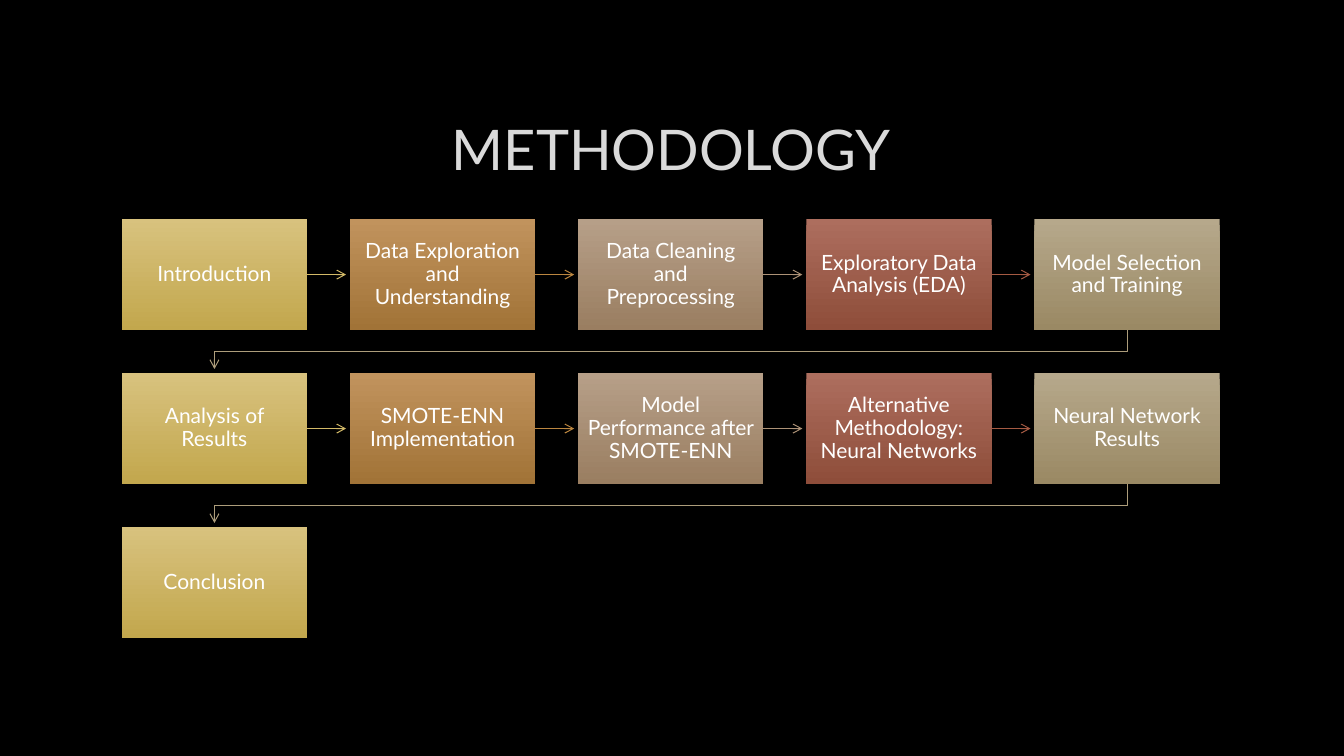
from lxml import etree
from pptx import Presentation
from pptx.dml.color import RGBColor
from pptx.enum.shapes import MSO_CONNECTOR, MSO_SHAPE
from pptx.enum.text import MSO_ANCHOR, MSO_AUTO_SIZE, PP_ALIGN
from pptx.oxml.ns import qn
from pptx.util import Cm, Pt

RECT = MSO_SHAPE.RECTANGLE
STRAIGHT = MSO_CONNECTOR.STRAIGHT
MIDDLE = MSO_ANCHOR.MIDDLE
CENTER = PP_ALIGN.CENTER
NO_FIT = MSO_AUTO_SIZE.NONE

FONT = "Lato"
COLORS = {"background": "000000", "title": "DADADA", "text": "FFFFFF"}
# One entry per column: gradient top, gradient bottom, outgoing arrow
COLUMNS = [
    {"top": "D8C27E", "bottom": "C2A74D", "arrow": "D3BA68"},
    {"top": "C1935D", "bottom": "A17337", "arrow": "BB8640"},
    {"top": "B69F88", "bottom": "9A7E61", "arrow": "AD9277"},
    {"top": "AD6E5E", "bottom": "8E4D3A", "arrow": "A55A43"},
    {"top": "B6A88B", "bottom": "9A8964", "arrow": "AD9D7B"},
]
STEPS = [
    "Introduction",
    "Data Exploration and Understanding",
    "Data Cleaning and Preprocessing",
    "Exploratory Data Analysis (EDA)",
    "Model Selection and Training",
    "Analysis of Results",
    "SMOTE-ENN Implementation",
    "Model Performance after SMOTE-ENN",
    "Alternative Methodology: Neural Networks",
    "Neural Network Results",
    "Conclusion",
]

# Grid of step boxes
LEFT, TOP = Cm(3.07), Cm(5.52)
BOX_W, BOX_H = Cm(4.67), Cm(2.8)
PITCH_X, PITCH_Y = Cm(5.75), Cm(3.88)
ARROW_GAP = Cm(0.1)
INSET = Cm(0.23)


def rgb(value):
    return RGBColor.from_string(value)


def set_attrs(obj, values):
    for name, value in values.items():
        setattr(obj, name, value)


def write_text(sp, text, size, color, spacing):
    tf = sp.text_frame
    set_attrs(tf, {"word_wrap": True, "auto_size": NO_FIT,
                   "vertical_anchor": MIDDLE,
                   "margin_left": INSET, "margin_right": INSET,
                   "margin_top": INSET, "margin_bottom": INSET})
    p = tf.paragraphs[0]
    set_attrs(p, {"alignment": CENTER, "line_spacing": spacing})
    r = p.add_run()
    r.text = text
    set_attrs(r.font, {"name": FONT, "size": Pt(size)})
    r.font.color.rgb = rgb(color)


def add_title(s, text):
    sp = s.shapes.title
    set_attrs(sp, {"left": Cm(2.54), "top": Cm(2.39),
                   "width": Cm(28.75), "height": Cm(2.69)})
    write_text(sp, text, 40, COLORS["title"], 1.0)


def add_step(s, x, y, text, colors):
    sp = s.shapes.add_shape(RECT, x, y, BOX_W, BOX_H)
    sp.shadow.inherit = False
    sp.line.fill.background()
    sp.fill.gradient()
    sp.fill.gradient_angle = 270
    for stop, part in zip(sp.fill.gradient_stops, ("top", "bottom")):
        stop.color.rgb = rgb(colors[part])
    # Full range for the two stops
    set_attrs(sp.fill.gradient_stops[0], {"position": 0.0})
    set_attrs(sp.fill.gradient_stops[1], {"position": 1.0})
    write_text(sp, text, 15, COLORS["text"], 0.9)


def style_arrow(sp, color):
    sp.line.color.rgb = rgb(color)
    sp.line.width = Pt(0.75)
    ln = sp.line._get_or_add_ln()
    etree.SubElement(ln, qn("a:tailEnd"), type="arrow")


def add_arrow(s, x, y, color):
    """Arrow from the box at x, y to its right neighbour."""
    mid = y + BOX_H // 2
    sp = s.shapes.add_connector(STRAIGHT, x + BOX_W, mid,
                                x + PITCH_X - ARROW_GAP, mid)
    style_arrow(sp, color)
    etree.SubElement(sp._element.spPr, qn("a:effectLst"))


def add_row_turn(s, x, y, color):
    """Bent arrow from the last box of a row to the first of the next."""
    start_x, end_x = x + BOX_W // 2, LEFT + BOX_W // 2
    bottom, next_top = y + BOX_H, y + PITCH_Y
    bend = (bottom + next_top) // 2
    fb = s.shapes.build_freeform(start_x, bottom)
    fb.add_line_segments([(start_x, bend), (end_x, bend),
                          (end_x, next_top - ARROW_GAP)], close=False)
    sp = fb.convert_to_shape()
    sp.fill.background()
    style_arrow(sp, color)
    sp.shadow.inherit = False


def main():
    prs = Presentation()
    prs.slide_width, prs.slide_height = Cm(33.87), Cm(19.05)
    s = prs.slides.add_slide(prs.slide_layouts[5])
    s.background.fill.solid()
    s.background.fill.fore_color.rgb = rgb(COLORS["background"])

    add_title(s, "METHODOLOGY")

    # Steps run row by row, each linked to the next
    for i, text in enumerate(STEPS):
        row, col = divmod(i, len(COLUMNS))
        x, y = LEFT + col * PITCH_X, TOP + row * PITCH_Y
        colors = COLUMNS[col]
        if i < len(STEPS) - 1:
            link = add_row_turn if col == len(COLUMNS) - 1 else add_arrow
            link(s, x, y, colors["arrow"])
        add_step(s, x, y, text, colors)

    prs.save("out.pptx")


if __name__ == "__main__":
    main()
